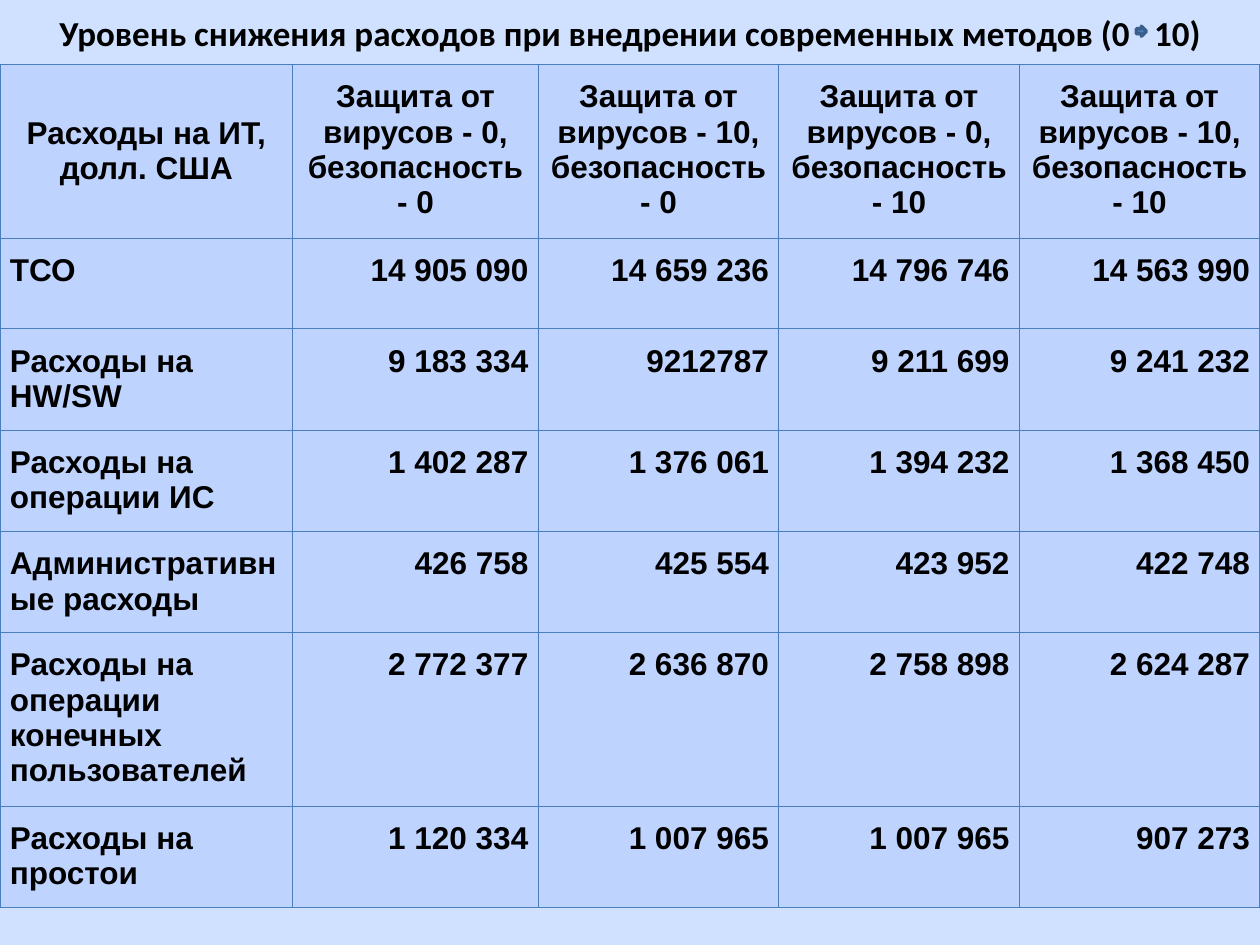
from lxml.etree import SubElement
from pptx import Presentation
from pptx.dml.color import RGBColor
from pptx.enum.shapes import MSO_SHAPE as SHAPE
from pptx.enum.text import MSO_ANCHOR as ANCHOR, PP_ALIGN as ALIGN
from pptx.oxml.ns import qn
from pptx.util import Cm, Pt

HEADERS = ["Расходы на ИТ, долл. США"] + [
    f"Защита от вирусов - {virus}, безопасность - {security}"
    for security in (0, 10) for virus in (0, 10)
]
COSTS = [
    ["ТСО", "14 905 090", "14 659 236", "14 796 746", "14 563 990"],
    ["Расходы на HW/SW", "9 183 334", "9212787", "9 211 699", "9 241 232"],
    ["Расходы на операции ИС", "1 402 287", "1 376 061", "1 394 232", "1 368 450"],
    ["Административные расходы", "426 758", "425 554", "423 952", "422 748"],
    ["Расходы на операции конечных пользователей",
     "2 772 377", "2 636 870", "2 758 898", "2 624 287"],
    ["Расходы на простои", "1 120 334", "1 007 965", "1 007 965", "907 273"],
]
COL_WIDTHS = [5.9, 4.95, 4.85, 4.85, 4.85]
ROW_HEIGHTS = [3.5, 1.83, 2.04, 2.04, 2.04, 3.5, 2.04]


def rgb(value):
    return RGBColor.from_string(value)


def write(p, text, size=18, font="Arial", color="000000", bold=True,
          align=ALIGN.LEFT, spacing=None):
    p.alignment = align
    r = p.add_run()
    r.text = text
    r.font.size = Pt(size)
    r.font.name = font
    r.font.bold = bold
    r.font.color.rgb = rgb(color)
    if spacing:
        r.font._element.set("spc", str(spacing * 100))


class Deck:
    """Builds one slide in a consistent style."""

    background, cell_fill, border = "D0E1FF", "BFD3FF", "4B7EBC"

    def __init__(self, prs):
        self.s = prs.slides.add_slide(prs.slide_layouts[6])
        fill = self.s.background.fill
        fill.solid()
        fill.fore_color.rgb = rgb(self.background)

    def title(self, parts, left, top, width, height):
        sp = self.s.shapes.add_textbox(Cm(left), Cm(top), Cm(width), Cm(height))
        tf = sp.text_frame
        tf.word_wrap = True
        for text, spacing in parts:
            write(tf.paragraphs[0], text, size=20, font="Calibri",
                  align=ALIGN.CENTER, spacing=spacing)

    def borders(self, cell):
        tc_pr = cell._tc.get_or_add_tcPr()
        for index, side in enumerate(("lnL", "lnR", "lnT", "lnB")):
            ln = SubElement(tc_pr, qn(f"a:{side}"), w=str(Pt(0.75)))
            solid = SubElement(ln, qn("a:solidFill"))
            SubElement(solid, qn("a:srgbClr"), val=self.border)
            tc_pr.insert(index, ln)

    def cell(self, cell, text, align, anchor):
        cell.margin_left = cell.margin_right = Cm(0.2)
        cell.margin_top = cell.margin_bottom = Cm(0.3)
        cell.vertical_anchor = anchor
        cell.fill.solid()
        cell.fill.fore_color.rgb = rgb(self.cell_fill)
        self.borders(cell)
        write(cell.text_frame.paragraphs[0], text, align=align)

    def table(self, rows, left, top, widths, heights):
        frame = self.s.shapes.add_table(
            len(rows), len(widths), Cm(left), Cm(top),
            Cm(sum(widths)), Cm(sum(heights)))
        table = frame.table
        for col, width in zip(table.columns, widths):
            col.width = Cm(width)
        for row, height in zip(table.rows, heights):
            row.height = Cm(height)
        for i, row in enumerate(rows):
            for j, text in enumerate(row):
                align = ALIGN.CENTER if i == 0 else ALIGN.RIGHT if j else ALIGN.LEFT
                anchor = ANCHOR.TOP if i or j else ANCHOR.MIDDLE
                self.cell(table.cell(i, j), text, align, anchor)

    def arrow(self, left, top, size, fill="4F81BD", line="3A5F8C"):
        sp = self.s.shapes.add_shape(
            SHAPE.RIGHT_ARROW, Cm(left), Cm(top), Cm(size), Cm(size))
        sp.shadow.inherit = False
        sp.fill.solid()
        sp.fill.fore_color.rgb = rgb(fill)
        sp.line.color.rgb = rgb(line)
        sp.line.width = Pt(2)


prs = Presentation()
prs.slide_width, prs.slide_height = Cm(25.4), Cm(19.05)
deck = Deck(prs)
deck.table([HEADERS] + COSTS, 0, 1.3, COL_WIDTHS, ROW_HEIGHTS)
deck.title([("Уровень снижения расходов при внедрении современных методов (0", None),
            (" ", 9), ("10)", None)], 0.3, 0.1, 24.8, 1.12)
deck.arrow(22.91, 0.53, 0.2)
prs.save("out.pptx")
